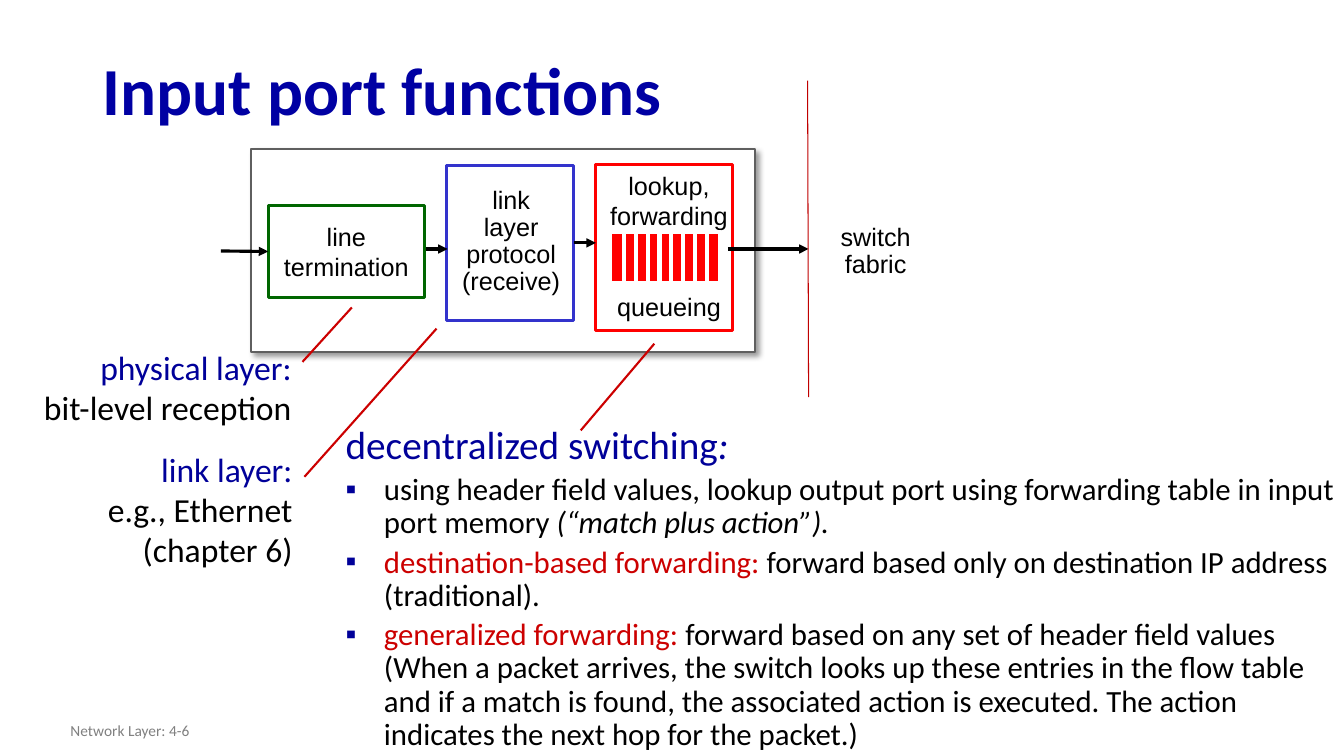
from lxml import etree
from pptx import Presentation
from pptx.dml.color import RGBColor
from pptx.enum.dml import MSO_LINE
from pptx.enum.shapes import MSO_CONNECTOR, MSO_SHAPE
from pptx.enum.text import MSO_ANCHOR, PP_ALIGN
from pptx.oxml import parse_xml
from pptx.oxml.ns import nsdecls, qn
from pptx.util import Inches, Pt

STRAIGHT = MSO_CONNECTOR.STRAIGHT
RECT = MSO_SHAPE.RECTANGLE
SOLID = MSO_LINE.SOLID
TOP, MIDDLE = MSO_ANCHOR.TOP, MSO_ANCHOR.MIDDLE
LEFT, CENTER, RIGHT = PP_ALIGN.LEFT, PP_ALIGN.CENTER, PP_ALIGN.RIGHT
rgb = RGBColor.from_string
BLACK, WHITE, NAVY, RED, GRAY = "000000", "FFFFFF", "000099", "CC0000", "808080"

prs = Presentation()
prs.slide_width, prs.slide_height = Inches(13.33), Inches(7.5)
s = prs.slides.add_slide(prs.slide_layouts[5])


def add_line(shapes, x1, y1, x2, y2, color, width, arrow=False):
    c = shapes.add_connector(STRAIGHT, Inches(x1), Inches(y1), Inches(x2), Inches(y2))
    c.line.color.rgb = rgb(color)
    c.line.width = Pt(width)
    c.line.dash_style = SOLID
    if arrow:
        etree.SubElement(c.line._get_or_add_ln(), qn("a:tailEnd"), type="triangle")
    etree.SubElement(c._element.spPr, qn("a:effectLst"))
    return c


def add_text(x, y, w, h, paragraphs, font, size, align, anchor=TOP, wrap=False, spacing=1.0):
    sp = s.shapes.add_textbox(Inches(x), Inches(y), Inches(w), Inches(h))
    tf = sp.text_frame
    tf.word_wrap = wrap
    tf.vertical_anchor = anchor
    for i, runs in enumerate(paragraphs):
        p = tf.paragraphs[0] if i == 0 else tf.add_paragraph()
        p.alignment = align
        p.line_spacing = spacing
        for text, color, italic in runs:
            r = p.add_run()
            r.text = text
            r.font.name = font
            r.font.size = Pt(size)
            r.font.italic = italic
            r.font.color.rgb = rgb(color)
    return sp


title = s.shapes.title
title.left, title.top, title.width, title.height = Inches(0.92), Inches(0.44), Inches(11.5), Inches(0.98)
tf = title.text_frame
tf.vertical_anchor = MIDDLE
p = tf.paragraphs[0]
p.alignment = LEFT
p.line_spacing = 0.9
r = p.add_run()
r.text = "Input port functions"
r.font.name = "Calibri"
r.font.size = Pt(48)
r.font.bold = True
r.font.color.rgb = rgb("0000A3")

boxes = {}
for name, x, y, w, h, color, width in [
    ("port", 2.49, 1.48, 5, 2.01, "5F5F5F", 1.5),
    ("termination", 2.66, 2.04, 1.55, 0.91, "006600", 2.25),
    ("link", 4.43, 1.64, 1.26, 1.54, "3333CC", 2.25),
    ("lookup", 5.91, 1.63, 1.36, 1.65, "FF0000", 2.25),
]:
    sp = s.shapes.add_shape(RECT, Inches(x), Inches(y), Inches(w), Inches(h))
    sp.shadow.inherit = False
    sp.fill.solid()
    sp.fill.fore_color.rgb = rgb(WHITE)
    sp.line.color.rgb = rgb(color)
    sp.line.width = Pt(width)
    boxes[name] = sp

effects = boxes["port"]._element.spPr.find(qn("a:effectLst"))
effects.append(parse_xml(
    f'<a:outerShdw {nsdecls("a")} blurRad="50800" dist="38100" dir="2700000" algn="tl" rotWithShape="0">'
    '<a:srgbClr val="000000"><a:alpha val="40000"/></a:srgbClr></a:outerShdw>'))

for x, y, w, h, lines, anchor, spacing in [
    (2.66, 2.04, 1.55, 0.91, ["line", "termination"], MIDDLE, 1.0),
    (4.37, 1.8, 1.4, 1.2, ["link", "layer", "protocol", "(receive)"], MIDDLE, 0.9),
    (5.95, 1.64, 1.37, 1.6, ["lookup,", "forwarding", "queueing"], TOP, 1.0),
    (8.11, 2.04, 1.15, 0.91, ["switch", "fabric"], MIDDLE, 0.9),
]:
    sp = add_text(x, y, w, h, [[(line, BLACK, False)] for line in lines],
                  "Arial", 18, CENTER, anchor, spacing=spacing)
    if lines[-1] == "queueing":
        sp.text_frame.paragraphs[-1].space_before = Pt(43)

queue = s.shapes.add_group_shape()
sp = queue.shapes.add_shape(RECT, Inches(6.05), Inches(2.3), Inches(1.09), Inches(0.51))
sp.shadow.inherit = False
sp.fill.solid()
sp.fill.fore_color.rgb = rgb("FF0000")
sp.line.color.rgb = rgb(WHITE)
sp.line.width = Pt(3)
for i in range(8):
    x = 6.19 + i * 0.82 / 7
    add_line(queue.shapes, x, 2.31, x, 2.8, WHITE, 3)

arrow_in = add_line(s.shapes, 2.19, 2.49, 2.66, 2.49, BLACK, 2.25, True)
arrow_in.end_connect(boxes["termination"], 1)
add_line(s.shapes, 4.23, 2.47, 4.44, 2.47, BLACK, 2.25, True)
arrow_lookup = add_line(s.shapes, 5.69, 2.41, 5.91, 2.41, BLACK, 2.25, True)
arrow_lookup.begin_connect(boxes["link"], 3)
add_line(s.shapes, 7.22, 2.47, 8.02, 2.47, BLACK, 2.25, True)
add_line(s.shapes, 8.01, 0.8, 8.02, 3.94, "C00000", 0.75)

for x1, y1, x2, y2 in [(3, 3.59, 3.49, 3.05), (3.02, 4.73, 4.33, 3.26), (5.76, 4.27, 6.49, 3.41)]:
    add_line(s.shapes, x1, y1, x2, y2, RED, 1.5)

add_text(0.28, 3.39, 2.71, 0.91, [
    [("physical layer:", NAVY, False)],
    [("bit-level reception", BLACK, False)],
], "Calibri", 24, RIGHT)
add_text(0.95, 4.4, 2.05, 1.31, [
    [("link layer:", NAVY, False)],
    [("e.g., Ethernet", BLACK, False)],
    [("(chapter 6)", BLACK, False)],
], "Calibri", 24, RIGHT)

switching = add_text(3.33, 4.17, 10.19, 3.33, [
    [("decentralized switching", NAVY, False), (":", NAVY, True)],
    [("using header field values, lookup output port using forwarding table in input port memory ", BLACK, False),
     ("(“match plus action”).", BLACK, True)],
    [("destination-based forwarding: ", RED, False),
     ("forward based only on destination IP address (traditional).", BLACK, False)],
    [("generalized forwarding: ", RED, False),
     ("forward based on any set of header field values (When a packet arrives, the switch looks up these "
      "entries in the flow table and if a match is found, the associated action is executed. The action "
      "indicates the next hop for the packet.)", BLACK, False)],
], "Calibri", 22, LEFT, wrap=True, spacing=0.9)
heading, *points = switching.text_frame.paragraphs
for r in heading.runs:
    r.font.size = Pt(28)
for p in points:
    p.space_before = Pt(4.4)
    pPr = p._p.get_or_add_pPr()
    pPr.set("marL", str(Inches(0.38)))
    pPr.set("indent", str(-Inches(0.38)))
    color = etree.SubElement(pPr, qn("a:buClr"))
    etree.SubElement(color, qn("a:srgbClr"), val=NAVY)
    etree.SubElement(pPr, qn("a:buFont"), typeface="Arial")
    etree.SubElement(pPr, qn("a:buChar"), char="▪")

add_text(-1.02, 7.05, 3, 0.4, [[("Network Layer: 4-6", GRAY, False)]],
         "Calibri", 11, RIGHT, MIDDLE, wrap=True)

prs.save("out.pptx")
